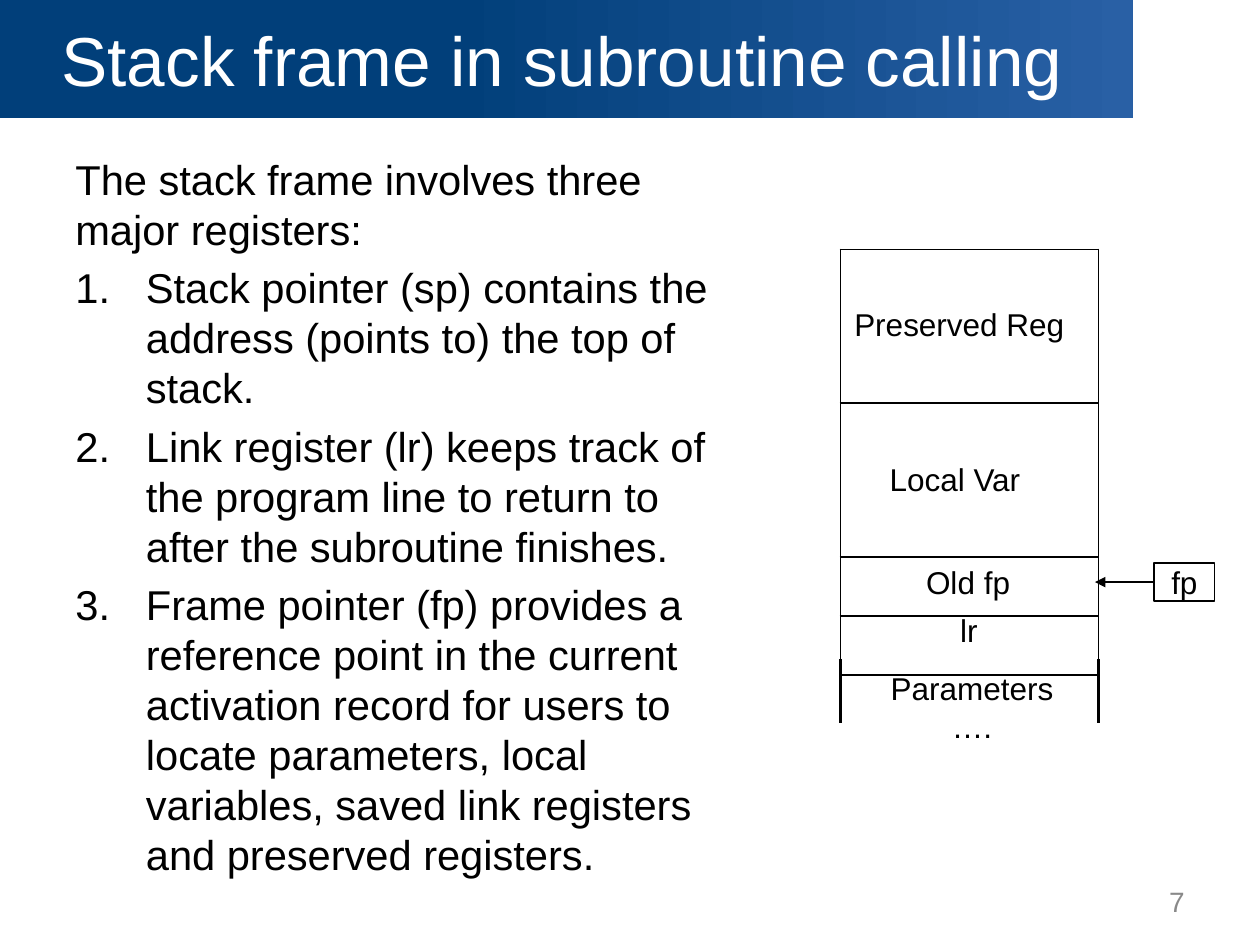
from dataclasses import dataclass

from lxml.etree import SubElement
from pptx import Presentation
from pptx.dml.color import RGBColor
from pptx.enum.shapes import MSO_CONNECTOR, MSO_SHAPE
from pptx.enum.text import MSO_ANCHOR as Anchor, PP_ALIGN as Align
from pptx.oxml.ns import qn
from pptx.util import Inches, Pt

BLACK = RGBColor(0x00, 0x00, 0x00)
WHITE = RGBColor(0xFF, 0xFF, 0xFF)
GREY = RGBColor(0x89, 0x89, 0x89)
NAVY = RGBColor(0x01, 0x3F, 0x7A)
BLUE = RGBColor(0x29, 0x60, 0xA5)

COLUMNS, ROWS = 100, 75
UNIT = Inches(10) // COLUMNS

TITLE = "Stack frame in subroutine calling"
INTRO = "The stack frame involves three major registers:"
REGISTERS = [
    "Stack pointer (sp) contains the address (points to) the top of stack.",
    "Link register (lr) keeps track of the program line to return to after "
    "the subroutine finishes.",
    "Frame pointer (fp) provides a reference point in the current activation "
    "record for users to locate parameters, local variables, saved link "
    "registers and preserved registers.",
]


@dataclass
class Box:
    """A region measured in grid columns and rows."""
    left: float
    top: float
    width: float
    height: float

    def inner(self, left, top, width, height):
        """Return a region placed relative to this one."""
        return Box(self.left + left, self.top + top, width, height)

    def lengths(self):
        """Return left, top, width and height as slide lengths."""
        return [grid(v) for v in (self.left, self.top, self.width, self.height)]


def grid(cells):
    """Convert grid cells to a slide length."""
    return int(cells * UNIT)


def write(frame, lines, size, color=BLACK, align=Align.LEFT,
          anchor=Anchor.TOP, inset=None):
    """Fill a text frame with evenly formatted paragraphs."""
    frame.word_wrap = True
    frame.vertical_anchor = anchor
    if inset is not None:
        frame.margin_left = frame.margin_right = inset
        frame.margin_top = frame.margin_bottom = inset
    frame.text = "\n".join(lines)
    for paragraph in frame.paragraphs:
        paragraph.alignment = align
        for run in paragraph.runs:
            run.font.name = "Arial"
            run.font.size = Pt(size)
            run.font.color.rgb = color


def add_text(slide, box, lines, size, **style):
    """Add a text box and return its text frame."""
    frame = slide.shapes.add_textbox(*box.lengths()).text_frame
    write(frame, lines, size, **style)
    return frame


def add_line(slide, start, end):
    """Draw a plain black line between two grid points."""
    line = slide.shapes.add_connector(
        MSO_CONNECTOR.STRAIGHT, *map(grid, (*start, *end)))
    line.line.color.rgb = BLACK
    line.line.width = Pt(1.5)
    SubElement(line._element.spPr, qn("a:effectLst"))
    return line


def add_title(slide, box):
    """Draw the gradient title banner."""
    banner = slide.shapes.add_shape(MSO_SHAPE.RECTANGLE, *box.lengths())
    banner.shadow.inherit = False
    banner.line.fill.background()
    banner.fill.gradient()
    banner.fill.gradient_angle = 0
    for stop, color, position in zip(
            banner.fill.gradient_stops, (NAVY, BLUE), (0.4, 1)):
        stop.color.rgb = color
        stop.position = position
    write(banner.text_frame, [TITLE], 39.6, color=WHITE, anchor=Anchor.MIDDLE)
    properties = banner.text_frame.paragraphs[0]._p.get_or_add_pPr()
    properties.set("marL", str(grid(3.9)))


def add_registers(slide, box):
    """Write the introduction and the numbered list of registers."""
    frame = add_text(slide, box, [INTRO, *REGISTERS], 23.8)
    for item in frame.paragraphs[1:]:
        item.space_before = Pt(4.8)
        properties = item._p.get_or_add_pPr()
        properties.set("marL", str(grid(5.6)))
        properties.set("indent", str(-grid(5.6)))
        SubElement(properties, qn("a:buFont"), typeface="+mj-lt")
        SubElement(properties, qn("a:buAutoNum"), type="arabicPeriod")


def add_border(cell):
    """Give a cell thin black edges and no fill."""
    properties = cell._tc.get_or_add_tcPr()
    for side in ("a:lnL", "a:lnR", "a:lnT", "a:lnB"):
        edge = SubElement(properties, qn(side), w=str(Pt(1)))
        fill = SubElement(edge, qn("a:solidFill"))
        SubElement(fill, qn("a:srgbClr"), val=str(BLACK))
    cell.fill.background()


def add_stack(slide, box):
    """Draw the stack frame with its labels and open lower end."""
    heights = [12.2, 12.2, 4.7, 4.7]
    table = slide.shapes.add_table(len(heights), 1, *box.lengths()).table
    table.first_row = table.horz_banding = False
    for row, height in zip(table.rows, heights):
        row.height = grid(height)
        add_border(row.cells[0])

    for x in (box.left, box.left + box.width):
        add_line(slide, (x, box.top + 32.5), (x, box.top + 37.6))

    labels = [
        (["Preserved Reg"], (1.1, 4.4, 17.5, 3)),
        (["Local Var"], (3.9, 16.7, 11.2, 3)),
        (["Old fp"], (6.8, 24.9, 7, 3)),
        (["lr"], (9.5, 28.7, 2, 3)),
    ]
    for lines, place in labels:
        add_text(slide, box.inner(*place), lines, 18, inset=0)
    add_text(slide, box.inner(3.9, 33.3, 13.1, 6.1), ["Parameters", "…."], 18,
             align=Align.CENTER, inset=0)


def add_pointer(slide, box, target):
    """Draw the frame pointer box and its arrow to the target column."""
    pointer = slide.shapes.add_shape(MSO_SHAPE.RECTANGLE, *box.lengths())
    pointer.shadow.inherit = False
    pointer.fill.background()
    pointer.line.color.rgb = BLACK
    pointer.line.width = Pt(1)
    write(pointer.text_frame, ["fp"], 18, align=Align.CENTER, inset=0)

    middle = box.top + box.height / 2
    arrow = add_line(slide, (box.left, middle), (target, middle))
    arrow.begin_connect(pointer, 1)
    SubElement(arrow.line._get_or_add_ln(), qn("a:tailEnd"), type="triangle")


def main():
    """Build the slide and save it."""
    deck = Presentation()
    deck.slide_width, deck.slide_height = COLUMNS * UNIT, ROWS * UNIT
    slide = deck.slides.add_slide(deck.slide_layouts[6])
    add_registers(slide, Box(5, 11.7, 53.3, 57.8))
    add_title(slide, Box(0, 0, 89.9, 9.4))
    add_stack(slide, Box(66.7, 19.8, 20.5, 33.8))
    add_pointer(slide, Box(91.6, 44.7, 4.8, 3), 86.9)
    add_text(slide, Box(71.7, 69.5, 23.3, 4), ["7"], 16, color=GREY,
             align=Align.RIGHT, anchor=Anchor.MIDDLE)
    deck.save("out.pptx")


if __name__ == "__main__":
    main()
